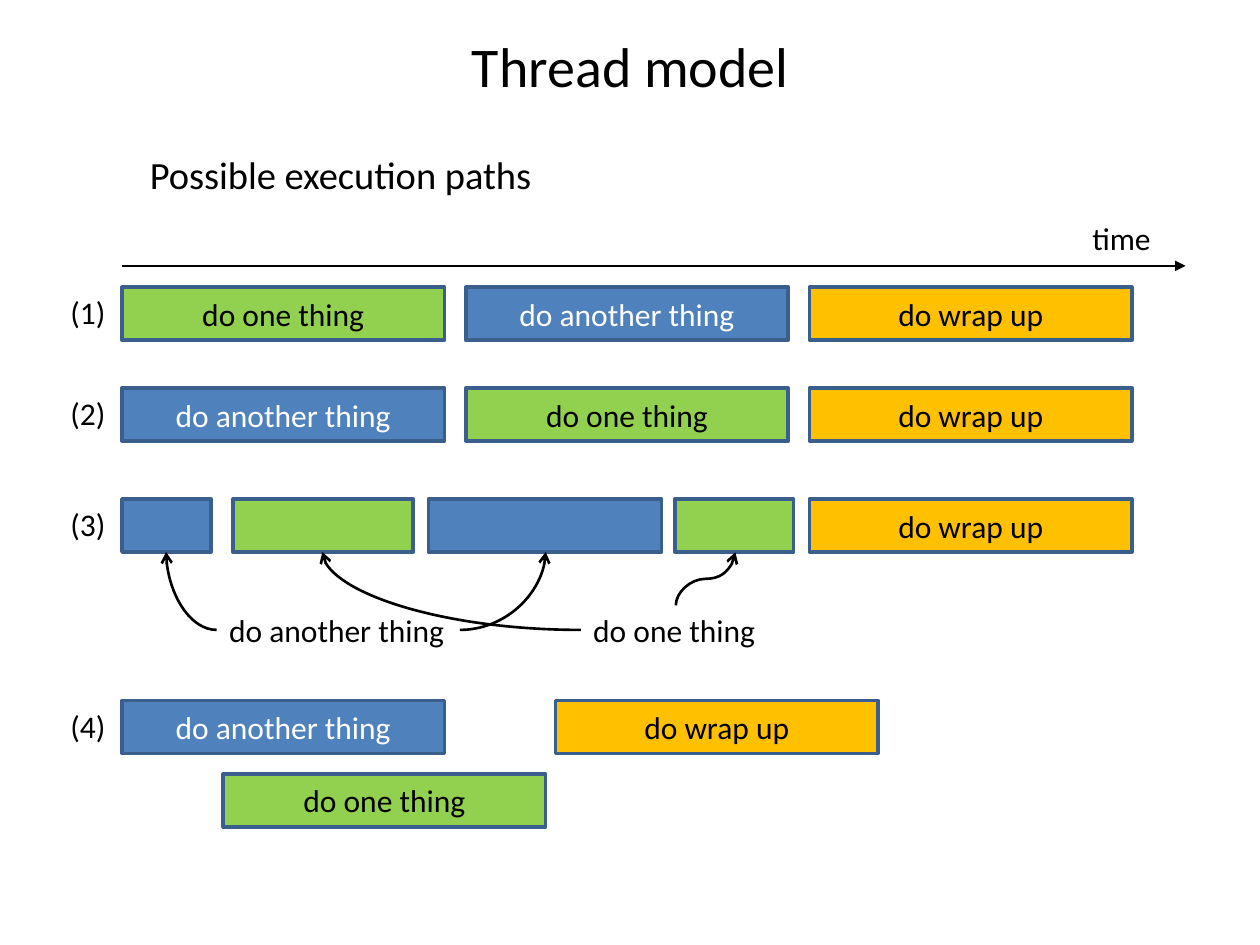
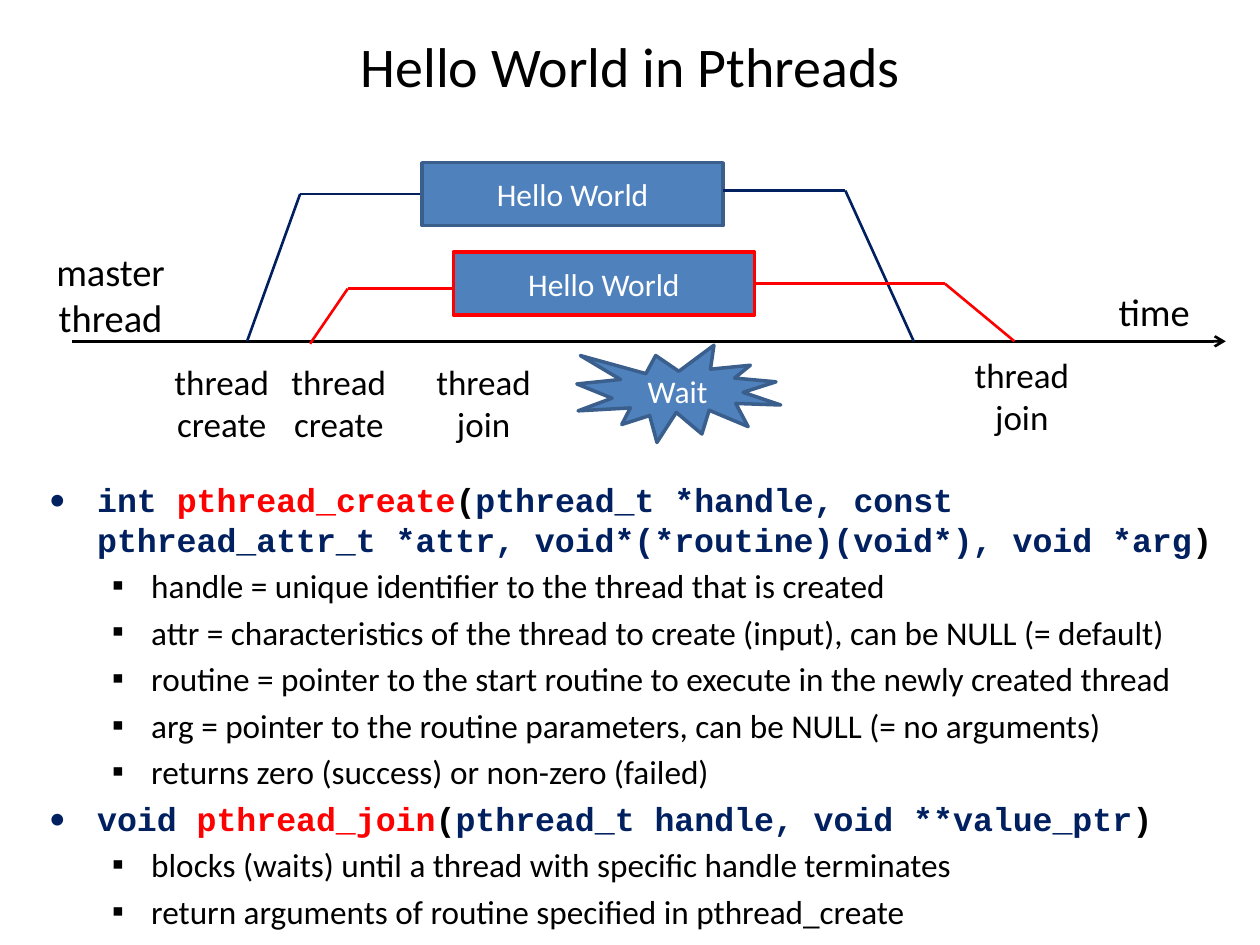
from dataclasses import dataclass
from itertools import pairwise
from typing import Any, NamedTuple

from pptx import Presentation
from pptx.dml.color import RGBColor
from pptx.enum.shapes import MSO_CONNECTOR, MSO_SHAPE
from pptx.enum.text import MSO_ANCHOR, PP_ALIGN
from pptx.oxml.ns import qn
from pptx.util import Cm, Pt
from lxml.etree import SubElement

BLACK, WHITE, NAVY, RED = "000000", "FFFFFF", "002060", "FF0000"
BLUE, GREEN, GOLD, EDGE = "4F81BD", "92D050", "FFC000", "3A5F8C"
SANS, MONO = "Calibri", "Courier New"
Point = tuple[float, float]


class Task(NamedTuple):
    words: str
    fill: str
    ink: str


ONE = Task("do one thing", GREEN, BLACK)
OTHER = Task("do another thing", BLUE, WHITE)
WRAP = Task("do wrap up", GOLD, BLACK)
HELLO = Task("Hello World", BLUE, WHITE)
WAIT = Task("Wait", BLUE, WHITE)


@dataclass
class Bar:
    task: Task
    x: float
    y: float
    w: float = 6.5
    h: float = 1.07
    edge: str = EDGE
    named: bool = True
    kind: Any = MSO_SHAPE.RECTANGLE


@dataclass
class Label:
    words: str
    x: float
    y: float
    w: float
    h: float = 1.02
    size: float = 18
    align: Any = PP_ALIGN.LEFT
    anchor: Any = MSO_ANCHOR.TOP


@dataclass
class Link:
    start: Point
    end: Point
    ink: str = BLACK
    head: str = ""
    curve: str = ""
    turn: int = 0


class Bullet(NamedTuple):
    mark: str
    left: float
    hang: float


TOP = Bullet("•", 0.97, -0.97)
SUB = Bullet("▪", 2.06, -0.79)


def colour(code: str) -> RGBColor:
    return RGBColor.from_string(code)


def put(target: Any, values: dict[str, Any]) -> None:
    """Set each named attribute of the target."""
    for name, value in values.items():
        setattr(target, name, value)


def style(run: Any, ink: str, size: float = 18, face: str = SANS, bold: bool = False) -> None:
    put(run.font, {"name": face, "size": Pt(size), "bold": bold})
    run.font.color.rgb = colour(ink)


def fill_text(frame: Any, words: str, ink: str, size: float, align: Any) -> None:
    frame.text = words
    for para in frame.paragraphs:
        para.alignment = align
        for run in para.runs:
            style(run, ink, size)


def draw_bar(slide: Any, bar: Bar) -> None:
    box = slide.shapes.add_shape(bar.kind, *map(Cm, (bar.x, bar.y, bar.w, bar.h)))
    box.shadow.inherit = False
    box.fill.solid()
    box.fill.fore_color.rgb = colour(bar.task.fill)
    box.line.color.rgb = colour(bar.edge)
    box.line.width = Pt(2)
    if bar.named:
        box.text_frame.vertical_anchor = MSO_ANCHOR.MIDDLE
        fill_text(box.text_frame, bar.task.words, bar.task.ink, 18, PP_ALIGN.CENTER)


def draw_label(slide: Any, label: Label) -> None:
    box = slide.shapes.add_textbox(*map(Cm, (label.x, label.y, label.w, label.h)))
    box.text_frame.vertical_anchor = label.anchor
    fill_text(box.text_frame, label.words, BLACK, label.size, label.align)


def draw_link(slide: Any, link: Link) -> None:
    kind = MSO_CONNECTOR.CURVE if link.curve else MSO_CONNECTOR.STRAIGHT
    line = slide.shapes.add_connector(kind, *map(Cm, link.start + link.end))
    line.line.color.rgb = colour(link.ink)
    line.line.width = Pt(1.5)
    props = line.element.spPr
    if link.curve:
        props.find(qn("a:prstGeom")).set("prst", link.curve)
    if link.turn:
        props.find(qn("a:xfrm")).set("rot", str(link.turn * 60000))
    if link.head:
        SubElement(props.find(qn("a:ln")), qn("a:tailEnd"), type=link.head)
    SubElement(props, qn("a:effectLst"))


def draw_path(slide: Any, ink: str, points: list[Point]) -> None:
    """Join the points with straight lines."""
    for start, end in pairwise(points):
        draw_link(slide, Link(start, end, ink))


def new_slide(deck: Any, title: str) -> Any:
    slide = deck.slides.add_slide(deck.slide_layouts[6])
    draw_label(slide, Label(title, 1.28, 0.43, 22.86, 1.78, 32,
                            PP_ALIGN.CENTER, MSO_ANCHOR.MIDDLE))
    return slide


def add_item(para: Any, bullet: Bullet) -> None:
    """Give the paragraph its bullet and indents."""
    props = para._p.get_or_add_pPr()
    props.set("marL", str(Cm(bullet.left)))
    props.set("indent", str(Cm(bullet.hang)))
    SubElement(props, qn("a:buFont"), typeface=SANS)
    SubElement(props, qn("a:buChar"), char=bullet.mark)


def draw_calls(slide: Any, calls: list[tuple[str, str, str, list[str]]]) -> None:
    """List each function signature with its notes below."""
    frame = slide.shapes.add_textbox(*map(Cm, (0.74, 9.53, 24.33, 9.27))).text_frame
    frame.word_wrap = True
    items = []
    for kind, name, args, notes in calls:
        parts = [(kind, NAVY), (name, RED), ("(", BLACK), (args, NAVY), (")", BLACK)]
        items.append((TOP, MONO, parts))
        items += [(SUB, SANS, [(note, BLACK)]) for note in notes]
    for spot, (bullet, face, parts) in enumerate(items):
        para = frame.add_paragraph() if spot else frame.paragraphs[0]
        put(para, {"level": int(bullet is SUB), "space_before": Pt(3.8 if spot else 0)})
        add_item(para, bullet)
        for words, ink in parts:
            run = para.add_run()
            run.text = words
            style(run, ink, 19, face, face == MONO)


def model_slide(deck: Any) -> None:
    slide = new_slide(deck, "Thread model")
    left, pitch = 2.46, 6.93
    rows = [5.79, 7.82, 10.06, 14.12]
    draw_link(slide, Link((left, 5.36), (23.9, 5.36), head="triangle"))
    orders = [[ONE, OTHER, WRAP], [OTHER, ONE, WRAP]]
    bars = [Bar(task, left + step * pitch, y)
            for y, order in zip(rows, orders) for step, task in enumerate(order)]
    slices = [(OTHER, left, 1.8), (ONE, 4.7, 3.63), (OTHER, 8.64, 4.7), (ONE, 13.61, 2.39)]
    bars += [Bar(task, x, rows[2], w, named=False) for task, x, w in slices]
    bars += [Bar(WRAP, left + 2 * pitch, rows[2]), Bar(OTHER, left, rows[3]),
             Bar(WRAP, 11.2, rows[3]), Bar(ONE, 4.5, 15.6)]
    for bar in bars:
        draw_bar(slide, bar)
    labels = [Label(f"({num})", 1.17, y, 1.22) for num, y in enumerate(rows, 1)]
    labels += [Label("Possible execution paths", 2.77, 2.92, 8.31, 1.19, 22),
               Label("time", 21.77, 4.29, 1.7),
               Label(OTHER.words, 4.37, 12.19, 4.9),
               Label(ONE.words, 11.71, 12.19, 3.81)]
    for label in labels:
        draw_label(slide, label)
    for start, end in [(4.37, 3.35), (9.27, 11), (11.71, 6.5)]:
        draw_link(slide, Link((start, 12.7), (end, 11.13), head="arrow",
                              curve="curvedConnector2"))
    draw_link(slide, Link((14.76, 12.27), (13.69, 11.07), head="arrow",
                          curve="curvedConnector3", turn=90))


def hello_slide(deck: Any) -> None:
    slide = new_slide(deck, "Hello World in Pthreads")
    axis = 6.88
    draw_link(slide, Link((1.45, axis), (24.71, axis), head="arrow"))
    draw_path(slide, NAVY, [(4.98, axis), (6.05, 3.91), (8.51, 3.91)])
    draw_path(slide, RED, [(6.25, 6.93), (7.01, 5.82), (9.35, 5.82)])
    draw_bar(slide, Bar(HELLO, 8.51, 3.28, 6.07, 1.27))
    draw_bar(slide, Bar(HELLO, 9.14, 5.08, 6.07, 1.27, RED))
    draw_path(slide, NAVY, [(14.58, 3.84), (17.04, 3.84), (18.42, axis)])
    draw_path(slide, RED, [(15.21, 5.72), (19.05, 5.72), (20.45, axis)])
    draw_label(slide, Label("master\nthread", 0.86, 4.88, 2.74, 2.13, 22, PP_ALIGN.CENTER))
    draw_label(slide, Label("time", 22.3, 5.69, 1.98, 1.19, 22))
    steps = [("create", 3.25, 7.14), ("create", 5.61, 7.14),
             ("join", 8.53, 7.14), ("join", 19.38, 7.01)]
    for verb, x, y in steps:
        draw_label(slide, Label(f"thread\n{verb}", x, y, 2.44, 1.96, 20, PP_ALIGN.CENTER))
    draw_calls(slide, [
        ("int ", "pthread_create",
         "pthread_t *handle, const pthread_attr_t *attr, void*(*routine)(void*), void *arg",
         ["handle = unique identifier to the thread that is created",
          "attr = characteristics of the thread to create (input), can be NULL (= default)",
          "routine = pointer to the start routine to execute in the newly created thread",
          "arg = pointer to the routine parameters, can be NULL (= no arguments)",
          "returns zero (success) or non-zero (failed)"]),
        ("void ", "pthread_join", "pthread_t handle, void **value_ptr",
         ["blocks (waits) until a thread with specific handle terminates",
          "return arguments of routine specified in pthread_create"]),
    ])
    draw_bar(slide, Bar(WAIT, 11.63, 6.96, 4.11, 1.96, kind=MSO_SHAPE.EXPLOSION1))


def main() -> None:
    deck = Presentation()
    put(deck, {"slide_width": Cm(25.4), "slide_height": Cm(19.05)})
    model_slide(deck)
    hello_slide(deck)
    deck.save("out.pptx")


if __name__ == "__main__":
    main()
